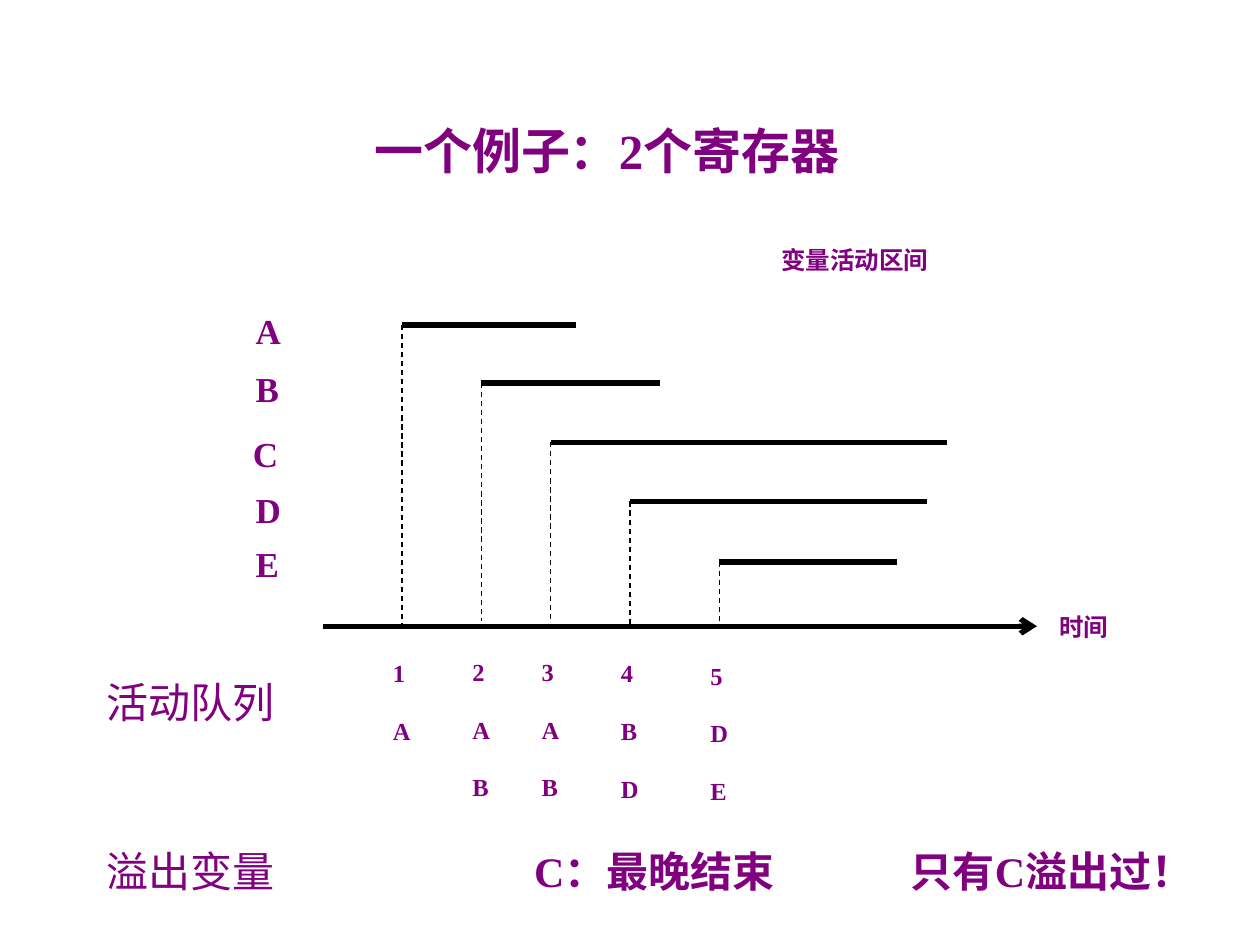
from pptx import Presentation
from pptx.dml.color import RGBColor
from pptx.enum.dml import MSO_LINE
from pptx.enum.shapes import MSO_CONNECTOR
from pptx.enum.text import MSO_ANCHOR, PP_ALIGN
from pptx.oxml.ns import qn
from pptx.util import Inches, Pt
from lxml import etree

STRAIGHT, DASH = MSO_CONNECTOR.STRAIGHT, MSO_LINE.DASH
TOP, LEFT = MSO_ANCHOR.TOP, PP_ALIGN.LEFT
COLORS = {"text": "800080", "line": "000000"}
FONT = "Times New Roman"

# Content: variable, label left and top, interval start, end and height,
# foot of its guide, top of its queue column, active queue
TITLE = "一个例子：2个寄存器"
INTERVALS = [
    ("A", 1.93, 2.41, 3.19, 4.57, 2.58, 4.97, 5.22, "A"),
    ("B", 1.93, 2.87, 3.82, 5.24, 3.04, 4.93, 5.21, "AB"),
    ("C", 1.91, 3.38, 4.37, 7.52, 3.51, 4.93, 5.21, "AB"),
    ("D", 1.93, 3.83, 5.00, 7.36, 3.98, 4.97, 5.22, "BD"),
    ("E", 1.93, 4.26, 5.71, 7.12, 4.46, 4.93, 5.24, "DE"),
]
AXIS = (2.56, 8.23, 4.97)
# Text, left, top, width, height, size, bold
CAPTIONS = [
    ("变量活动区间", 6.1, 1.94, 1.49, 0.32, 14, True),
    ("时间", 8.31, 4.85, 0.71, 0.32, 14, True),
    ("活动队列", 0.75, 5.32, 1.53, 0.5, 24, False),
    ("溢出变量", 0.75, 6.66, 1.53, 0.5, 24, False),
    ("C：最晚结束", 4.14, 6.66, 2.12, 0.5, 24, True),
    ("只有C溢出过！", 7.13, 6.66, 2.45, 0.5, 24, True),
]
QUEUE_SHIFT, QUEUE_WIDTH, ROW_HEIGHT = -0.17, 0.47, 0.45

prs = Presentation()
prs.slide_width, prs.slide_height = Inches(10), Inches(7.5)
s = prs.slides.add_slide(prs.slide_layouts[5])


def add_text(text, x, y, w, h, size=14, bold=True, wrap=True,
             spacing=None, gap=0, sp=None):
    """Write text, one paragraph a line, in a new box or a given shape."""
    box = [Inches(v) for v in (x, y, w, h)]
    if sp is None:
        sp = s.shapes.add_textbox(*box)
    sp.left, sp.top, sp.width, sp.height = box
    tf = sp.text_frame
    tf.word_wrap, tf.vertical_anchor = wrap, TOP
    tf.text = text
    for i, p in enumerate(tf.paragraphs):
        p.alignment = LEFT
        p.space_before = Pt(gap if i else 0)
        if spacing:
            p.line_spacing = spacing
        for r in p.runs:
            r.font.name, r.font.size, r.font.bold = FONT, Pt(size), bold
            r.font.color.rgb = RGBColor.from_string(COLORS["text"])


def add_line(x1, y1, x2, y2, width=3, dash=None, arrow=False):
    c = s.shapes.add_connector(STRAIGHT, *[Inches(v) for v in (x1, y1, x2, y2)])
    c.line.width = Pt(width)
    c.line.color.rgb = RGBColor.from_string(COLORS["line"])
    if dash:
        c.line.dash_style = dash
    if arrow:
        etree.SubElement(c.line._get_or_add_ln(), qn("a:tailEnd"), type="arrow")
    etree.SubElement(c._element.spPr, qn("a:effectLst"))


# Title
add_text(TITLE, 2.87, 0.91, 3.91, 0.57, size=28, sp=s.shapes.title)

# Time axis
start, end, axis_y = AXIS
add_line(start, axis_y, end, axis_y, arrow=True)

# Live intervals, their guides, and the active queue at each start
for step, (name, lx, ly, x1, x2, y, foot, top, queue) in enumerate(INTERVALS, 1):
    add_text(name, lx, ly, 0.4, 0.43, size=20, wrap=False)
    add_line(x1, y, x2, y)
    add_line(x1, y, x1, foot, width=0.75, dash=DASH)
    add_text("\n".join([str(step), *queue]), x1 + QUEUE_SHIFT, top, QUEUE_WIDTH,
             ROW_HEIGHT * (len(queue) + 1), spacing=0.8, gap=19.5)

# Captions
for text, x, y, w, h, size, bold in CAPTIONS:
    add_text(text, x, y, w, h, size=size, bold=bold,
             spacing=0.8 if size == 14 else None)

prs.save("out.pptx")
